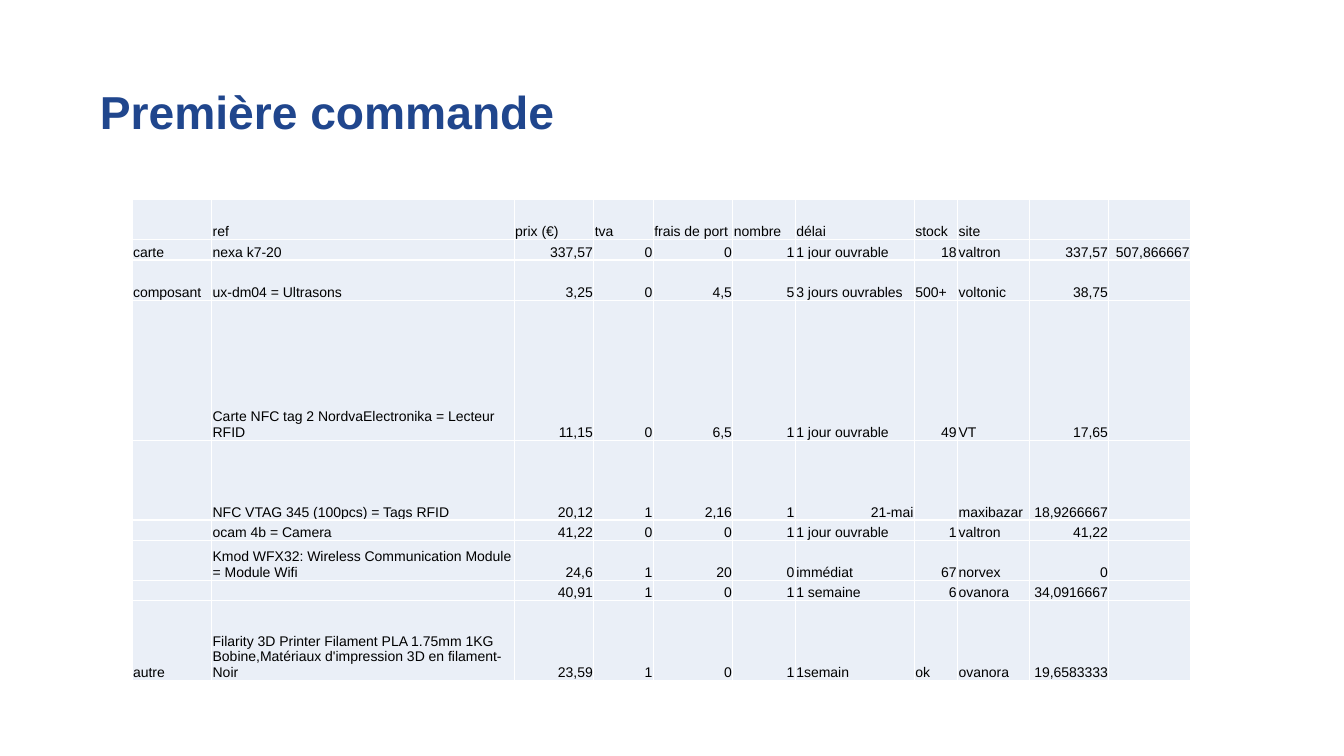
from dataclasses import dataclass

from lxml import etree
from pptx import Presentation
from pptx.dml.color import RGBColor
from pptx.enum.text import MSO_ANCHOR, MSO_AUTO_SIZE, PP_ALIGN
from pptx.oxml.ns import qn
from pptx.util import Inches, Pt

LEFT, RIGHT = PP_ALIGN.LEFT, PP_ALIGN.RIGHT
MIDDLE, BOTTOM = MSO_ANCHOR.MIDDLE, MSO_ANCHOR.BOTTOM
NO_AUTOFIT = MSO_AUTO_SIZE.NONE


@dataclass(frozen=True)
class Theme:
    """Colours, font and sizes used on the slide."""
    font: str = "Arial"
    title_color: str = "20468D"
    text_color: str = "000000"
    cell_fill: str = "EAEFF7"
    border_color: str = "FFFFFF"
    title_size: int = 33
    cell_size: int = 10
    border_width: int = 1


THEME = Theme()
COLUMN_WIDTHS = [0.79, 3, 0.79, 0.59, 0.79, 0.62, 1.18, 0.43, 0.71, 0.79, 0.81]
ROW_HEIGHTS = [0.4, 0.2, 0.4, 1.39, 0.79, 0.2, 0.4, 0.2, 0.79]
DELIVERY_DATE = "21-mai"
ORDER_LINES = [
    ["", "ref", "prix (€)", "tva", "frais de port", "nombre", "délai", "stock",
     "site", "", ""],
    ["carte", "nexa k7-20", "337,57", "0", "0", "1", "1 jour ouvrable", "18",
     "valtron", "337,57", "507,866667"],
    ["composant", "ux-dm04 = Ultrasons", "3,25", "0", "4,5", "5",
     "3 jours ouvrables", "500+", "voltonic", "38,75", ""],
    ["", "Carte NFC tag 2 NordvaElectronika = Lecteur RFID", "11,15", "0", "6,5",
     "1", "1 jour ouvrable", "49", "VT", "17,65", ""],
    ["", "NFC VTAG 345 (100pcs) = Tags RFID", "20,12", "1", "2,16", "1",
     DELIVERY_DATE, "", "maxibazar", "18,9266667", ""],
    ["", "ocam 4b = Camera", "41,22", "0", "0", "1", "1 jour ouvrable", "1",
     "valtron", "41,22", ""],
    ["", "Kmod WFX32: Wireless Communication Module = Module Wifi", "24,6", "1",
     "20", "0", "immédiat", "67", "norvex", "0", ""],
    ["", "", "40,91", "1", "0", "1", "1 semaine", "6", "ovanora", "34,0916667", ""],
    ["autre", "Filarity 3D Printer Filament PLA 1.75mm 1KG Bobine,Matériaux "
     "d'impression 3D en filament- Noir", "23,59", "1", "0", "1", "1semain", "ok",
     "ovanora", "19,6583333", ""],
]


def add_run(paragraph, text, size, color, bold=False):
    """Append one formatted run to a paragraph."""
    run = paragraph.add_run()
    run.text = text
    run.font.name = THEME.font
    run.font.size = Pt(size)
    run.font.bold = bold
    run.font.color.rgb = RGBColor.from_string(color)


def add_borders(cell):
    """Draw a thin solid line on all four sides of a cell."""
    properties = cell._tc.get_or_add_tcPr()
    for side in ("a:lnL", "a:lnR", "a:lnT", "a:lnB"):
        line = etree.SubElement(properties, qn(side), w=str(Pt(THEME.border_width)))
        fill = etree.SubElement(line, qn("a:solidFill"))
        etree.SubElement(fill, qn("a:srgbClr"), val=THEME.border_color)


presentation = Presentation()
presentation.slide_width = Inches(13.33)
presentation.slide_height = Inches(7.5)
slide = presentation.slides.add_slide(presentation.slide_layouts[5])

title = slide.shapes.title
title.left, title.top = Inches(0.92), Inches(0.84)
title.width, title.height = Inches(11.5), Inches(0.59)
title_frame = title.text_frame
title_frame.auto_size = NO_AUTOFIT
title_frame.word_wrap = True
title_frame.vertical_anchor = MIDDLE
title_frame.margin_left = title_frame.margin_right = Inches(0.07)
title_frame.margin_top = title_frame.margin_bottom = Inches(0.04)
heading = title_frame.paragraphs[0]
heading.alignment = LEFT
heading.line_spacing = 0.9
add_run(heading, "Première commande", THEME.title_size, THEME.title_color, bold=True)

order_table = slide.shapes.add_table(
    len(ROW_HEIGHTS), len(COLUMN_WIDTHS), Inches(1.31), Inches(1.98),
    Inches(sum(COLUMN_WIDTHS)), Inches(sum(ROW_HEIGHTS))).table
order_table.first_row = False
order_table.horz_banding = False
for column, width in zip(order_table.columns, COLUMN_WIDTHS):
    column.width = Inches(width)

for row, height, order_line in zip(order_table.rows, ROW_HEIGHTS, ORDER_LINES):
    row.height = Inches(height)
    for cell, value in zip(row.cells, order_line):
        cell.margin_left = cell.margin_right = cell.margin_top = Inches(0.01)
        cell.margin_bottom = 0
        cell.vertical_anchor = BOTTOM
        add_borders(cell)
        cell.fill.solid()
        cell.fill.fore_color.rgb = RGBColor.from_string(THEME.cell_fill)
        entry = cell.text_frame.paragraphs[0]
        is_number = value.replace(",", "").isdigit()
        entry.alignment = RIGHT if is_number or value == DELIVERY_DATE else LEFT
        if value:
            add_run(entry, value, THEME.cell_size, THEME.text_color)
        else:
            # Keeps blank cells from stretching the short rows
            etree.SubElement(entry._p, qn("a:endParaRPr"), sz=str(THEME.cell_size * 100))

presentation.save("out.pptx")
